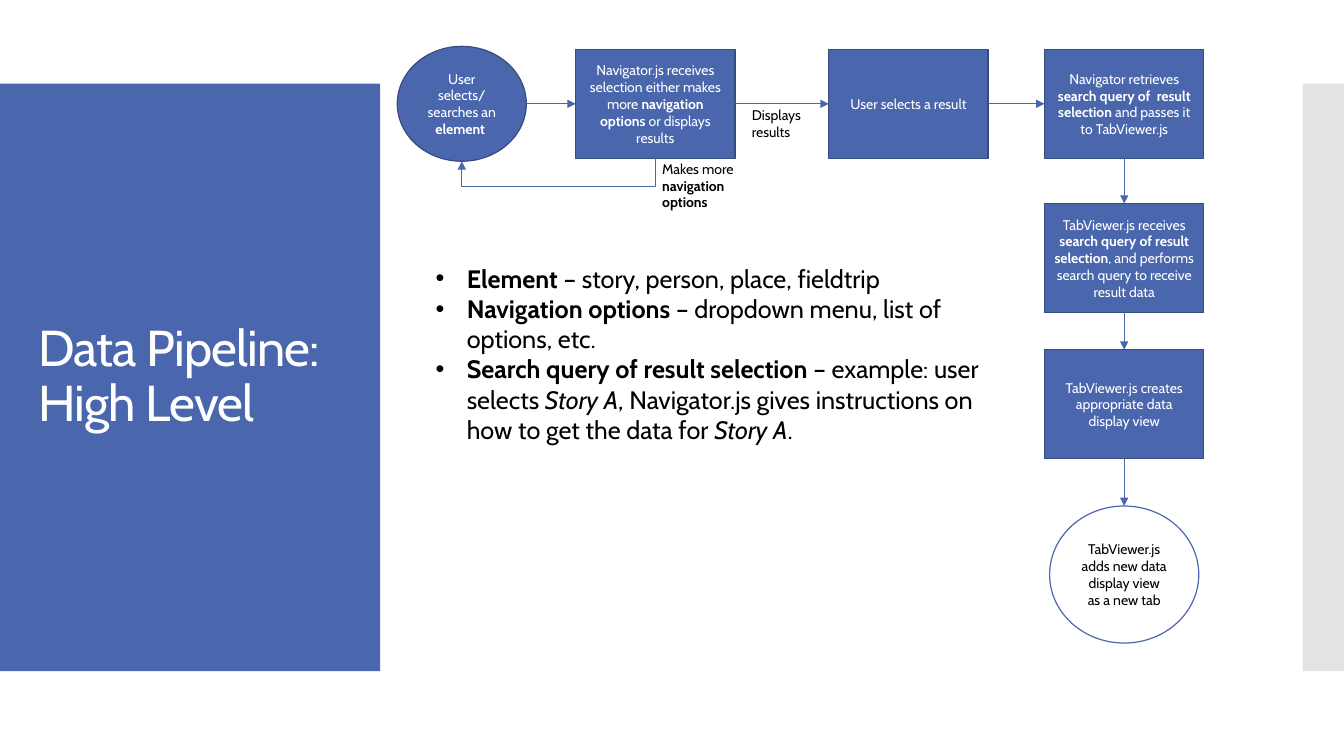
from dataclasses import dataclass
from lxml.etree import SubElement
from pptx import Presentation
from pptx.dml.color import RGBColor
from pptx.enum.shapes import MSO_CONNECTOR as Link, MSO_SHAPE as Shape
from pptx.enum.text import MSO_ANCHOR as Anchor, MSO_AUTO_SIZE as AutoSize, PP_ALIGN as Align
from pptx.oxml.ns import qn
from pptx.util import Inches, Pt


@dataclass(frozen=True)
class Theme:
    font: str = "Cabin"
    blue: str = "4A66AC"
    outline: str = "374B7F"
    gray: str = "C8C8C8"
    white: str = "FFFFFF"
    black: str = "000000"
    title_size: float = 36
    list_size: float = 18
    label_size: float = 10
    outline_width: float = 0.85
    arrow_width: float = 0.75


THEME = Theme()

# Content: a paragraph is a list of (text, style) runs; b is bold, i is italic
TITLE = [("Data Pipeline: High Level", "")]
START = [("User selects/ searches an ", ""), ("element ", "b")]
ROW_STEPS = [
    [("Navigator.js receives selection either makes more ", ""),
     ("navigation options ", "b"), ("or displays results", "")],
    [("User selects a result", "")],
    [("Navigator retrieves ", ""), ("search query of  result selection ", "b"),
     ("and passes it to TabViewer.js", "")],
]
COLUMN_STEPS = [
    [("TabViewer.js receives ", ""), ("search query of result selection", "b"),
     (", and performs search query to receive result data", "")],
    [("TabViewer.js creates appropriate data display view", "")],
]
FINISH = [("TabViewer.js adds new data display view as a new tab", "")]
ARROW_LABELS = [
    ([("Displays results", "")], (7.36, 1.01, 0.86, 0.44)),
    ([("Makes more ", ""), ("navigation options", "b")], (6.47, 1.54, 0.96, 0.61)),
]
DEFINITIONS = [
    [("Element", "b"), (" – story, person, place, fieldtrip", "")],
    [("Navigation options ", "b"), ("– dropdown menu, list of options, etc.", "")],
    [("Search query of result selection ", "b"), ("– example: user selects ", ""),
     ("Story A", "i"), (", Navigator.js gives instructions on how to get the data for ", ""),
     ("Story A", "i"), (".", "")],
]

# Layout in inches
STEP_W, STEP_H = 1.58, 1.08
ROW_X, ROW_Y = (5.71, 8.22, 10.36), 0.49
COLUMN_Y = (2.02, 3.47)
START_BOX = (3.94, 0.46, 1.28, 1.14)
FINISH_BOX = (10.41, 5.02, 1.48, 1.36)
PANEL_Y, PANEL_H = 0.83, 5.83
LOOP_DROP = 0.28
BULLET_INDENT = 0.31

prs = Presentation()
prs.slide_width, prs.slide_height = Inches(13.33), Inches(7.5)
slide = prs.slides.add_slide(prs.slide_layouts[1])
title, definitions = slide.placeholders


def inches(*lengths):
    return [Inches(length) for length in lengths]


def color(code):
    return RGBColor.from_string(code)


def place(holder, left, top, width, height):
    holder.left, holder.top, holder.width, holder.height = inches(left, top, width, height)


def write(holder, paragraphs, size=THEME.label_size, ink=THEME.black, align=Align.LEFT,
          anchor=Anchor.TOP, spacing=1.0, tracking=None, bullet=None):
    frame = holder.text_frame
    frame.word_wrap, frame.auto_size = True, AutoSize.NONE
    frame.vertical_anchor = anchor
    for number, runs in enumerate(paragraphs):
        para = frame.add_paragraph() if number else frame.paragraphs[0]
        para.alignment, para.line_spacing = align, spacing
        para.space_before = Pt(0)
        if bullet:
            props = para._p.get_or_add_pPr()
            props.set("marL", str(Inches(BULLET_INDENT)))
            props.set("indent", str(-Inches(BULLET_INDENT)))
            SubElement(props, qn("a:buFont"), typeface="Arial")
            SubElement(props, qn("a:buChar"), char=bullet)
        for text, style in runs:
            run = para.add_run()
            run.text = text
            font = run.font
            font.name, font.size, font.color.rgb = THEME.font, Pt(size), color(ink)
            font.bold, font.italic = style == "b", style == "i"
            if tracking:
                run._r.get_or_add_rPr().set("spc", str(round(tracking * 100)))


def add_box(kind, box, fill, line=None):
    shape = slide.shapes.add_shape(kind, *inches(*box))
    shape.shadow.inherit = False
    shape.fill.solid()
    shape.fill.fore_color.rgb = color(fill)
    if line:
        shape.line.color.rgb, shape.line.width = color(line), Pt(THEME.outline_width)
    else:
        shape.line.fill.background()
    return shape


def add_node(kind, box, runs, fill=THEME.blue, line=THEME.outline, ink=THEME.white):
    node = add_box(kind, box, fill, line)
    write(node, [runs], ink=ink, align=Align.CENTER, anchor=Anchor.MIDDLE)
    return node


def add_arrow(kind, start, end):
    arrow = slide.shapes.add_connector(kind, *start, *end)
    arrow.line.color.rgb, arrow.line.width = color(THEME.blue), Pt(THEME.arrow_width)
    SubElement(arrow.line._get_or_add_ln(), qn("a:tailEnd"), type="triangle")
    SubElement(arrow.element.spPr, qn("a:effectLst"))
    return arrow


def side(node, site):
    """Middle of a side: 0 top, 1 left, 2 bottom, 3 right."""
    across, down = ((1, 0), (0, 1), (1, 2), (2, 1))[site]
    return node.left + node.width * across // 2, node.top + node.height * down // 2


def join(first, first_side, second, second_side):
    arrow = add_arrow(Link.STRAIGHT, side(first, first_side), side(second, second_side))
    if first.auto_shape_type == Shape.RECTANGLE:
        arrow.begin_connect(first, first_side)
    if second.auto_shape_type == Shape.RECTANGLE:
        arrow.end_connect(second, second_side)


# Side panels, behind the title
for left, width, fill in ((0, 3.77, THEME.blue), (12.92, 0.41, THEME.gray)):
    panel = add_box(Shape.RECTANGLE, (left, PANEL_Y, width, PANEL_H), fill)
    title.element.addprevious(panel.element)
    if fill == THEME.gray:
        tint = panel.element.spPr.find(qn("a:solidFill"))[0]
        SubElement(tint, qn("a:alpha"), val="50000")

# Title and definitions
place(title, 0.28, 1.23, 3.22, 5.03)
write(title, [TITLE], size=THEME.title_size, ink=THEME.white, anchor=Anchor.MIDDLE,
      spacing=0.9, tracking=-0.6)
place(definitions, 4.22, 2.56, 5.59, 1.92)
write(definitions, DEFINITIONS, size=THEME.list_size, bullet="•")

# Flow nodes
start = add_node(Shape.OVAL, START_BOX, START)
row = [add_node(Shape.RECTANGLE, (x, ROW_Y, STEP_W, STEP_H), runs)
       for x, runs in zip(ROW_X, ROW_STEPS)]
column = [add_node(Shape.RECTANGLE, (ROW_X[-1], y, STEP_W, STEP_H), runs)
          for y, runs in zip(COLUMN_Y, COLUMN_STEPS)]
finish = add_node(Shape.OVAL, FINISH_BOX, FINISH, THEME.white, THEME.blue, THEME.black)

# Straight arrows along the row, then down the column
across = [start, *row]
down = [row[-1], *column, finish]
for first, second in zip(across, across[1:]):
    join(first, 3, second, 1)
for first, second in zip(down, down[1:]):
    join(first, 2, second, 0)

# Loop back to the start: an elbow turned a quarter, bending below both nodes
(from_x, from_y), (to_x, to_y) = side(row[0], 2), side(start, 2)
span, rise = from_x - to_x, to_y - from_y
loop_left = (from_x + to_x - rise) // 2
loop_top = (from_y + to_y - span) // 2
loop = add_arrow(Link.ELBOW, (loop_left, loop_top), (loop_left + rise, loop_top + span))
loop.element.spPr.find(qn("a:xfrm")).set("rot", "5400000")
bend = loop.element.spPr.find(qn("a:prstGeom")).find(qn("a:avLst"))
SubElement(bend, qn("a:gd"), name="adj1",
           fmla=f"val {round(Inches(LOOP_DROP) / rise * 100000)}")

# Arrow labels
for runs, box in ARROW_LABELS:
    write(slide.shapes.add_textbox(*inches(*box)), [runs])

prs.save("out.pptx")
